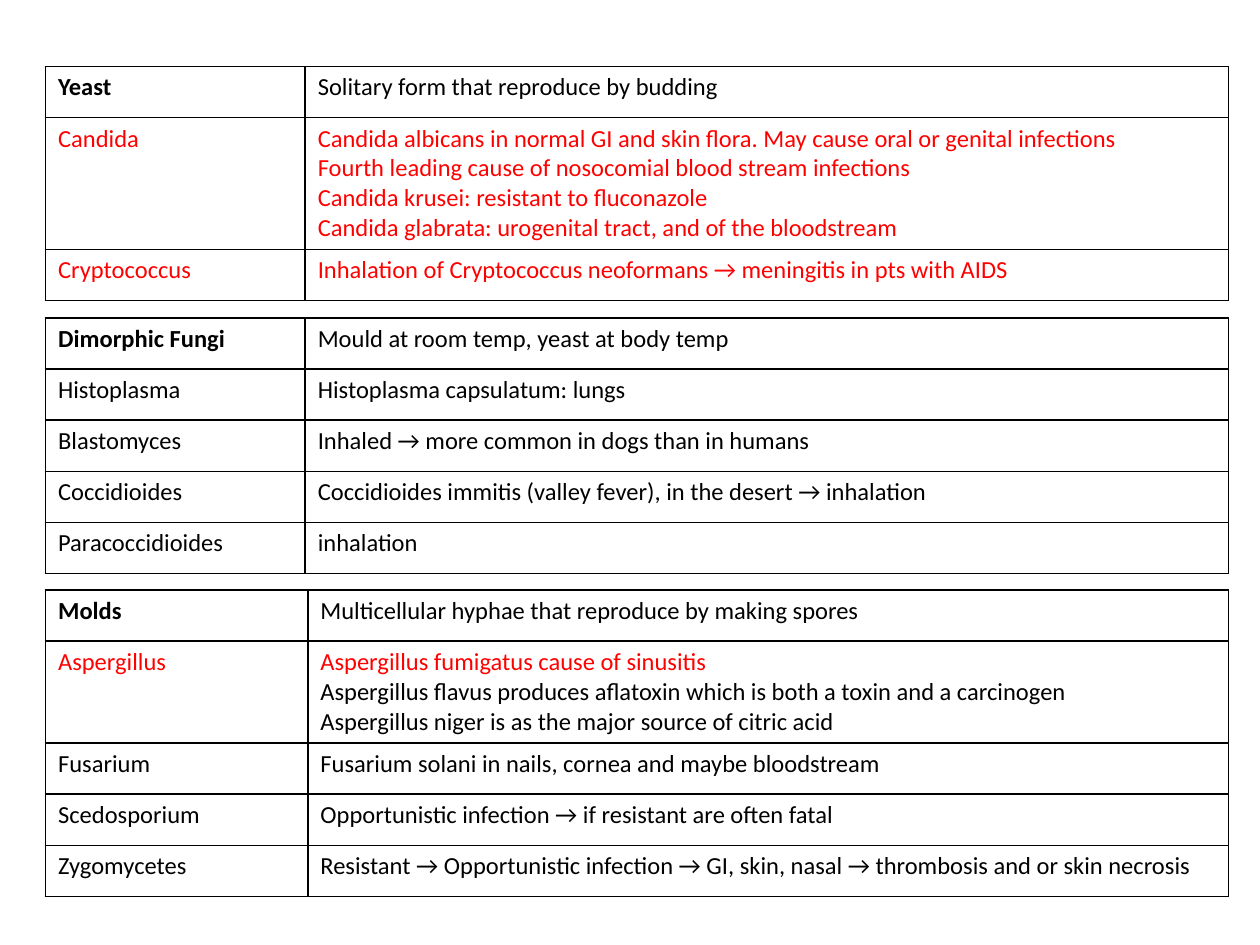
from lxml import etree
from pptx import Presentation
from pptx.dml.color import RGBColor
from pptx.oxml import ns
from pptx.util import Pt

BLACK = RGBColor(0, 0, 0)
RED = RGBColor(255, 0, 0)
FONT, SIZE = "Calibri", 14
LEFT, WIDTH, ROW = 26, 676, 29.2

# top, first column width, rows of (name, lines, count of red lines)
GROUPS = [
    (37.9, 148.4, [
        ("Yeast", ["Solitary form that reproduce by budding"], 0),
        ("Candida", [
            "Candida albicans in normal GI and skin flora. May cause oral or genital infections",
            "Fourth leading cause of nosocomial blood stream infections",
            "Candida krusei: resistant to fluconazole",
            "Candida glabrata: urogenital tract, and of the bloodstream"], 4),
        ("Cryptococcus", ["Inhalation of Cryptococcus neoformans → meningitis in pts with AIDS"], 1),
    ]),
    (181.7, 148.4, [
        ("Dimorphic Fungi", ["Mould at room temp, yeast at body temp"], 0),
        ("Histoplasma", ["Histoplasma capsulatum: lungs"], 0),
        ("Blastomyces", ["Inhaled → more common in dogs than in humans"], 0),
        ("Coccidioides", ["Coccidioides immitis (valley fever), in the desert → inhalation"], 0),
        ("Paracoccidioides", ["inhalation"], 0),
    ]),
    (337.1, 149.9, [
        ("Molds", ["Multicellular hyphae that reproduce by making spores"], 0),
        ("Aspergillus", [
            "Aspergillus fumigatus cause of sinusitis",
            "Aspergillus flavus produces aflatoxin which is both a toxin and a carcinogen",
            "Aspergillus niger is as the major source of citric acid"], 1),
        ("Fusarium", ["Fusarium solani in nails, cornea and maybe bloodstream"], 0),
        ("Scedosporium", ["Opportunistic infection → if resistant are often fatal"], 0),
        ("Zygomycetes", [
            "Resistant → Opportunistic infection → GI, skin, nasal → thrombosis and or skin necrosis"], 0),
    ]),
]


def border(cell):
    props = cell._tc.get_or_add_tcPr()
    for side in ("lnL", "lnR", "lnT", "lnB"):
        line = etree.SubElement(props, ns.qn("a:" + side), w=str(Pt(1)))
        fill = etree.SubElement(line, ns.qn("a:solidFill"))
        etree.SubElement(fill, ns.qn("a:srgbClr"), val=str(BLACK))


def write(cell, lines, reds, bold=False):
    border(cell)
    cell.fill.background()
    frame = cell.text_frame
    for i, line in enumerate(lines):
        para = frame.add_paragraph() if i else frame.paragraphs[0]
        run = para.add_run()
        run.text = line
        font = run.font
        font.name, font.size, font.bold = FONT, Pt(SIZE), bold
        font.color.rgb = RED if i < reds else BLACK


def draw(slide, top, first, rows):
    frame = slide.shapes.add_table(
        len(rows), 2, Pt(LEFT), Pt(top), Pt(WIDTH), Pt(ROW * len(rows)))
    table = frame.table
    table.first_row = table.horz_banding = False
    table.columns[0].width = Pt(first)
    table.columns[1].width = Pt(WIDTH - first)
    for i, (name, lines, reds) in enumerate(rows):
        table.rows[i].height = Pt(ROW)
        write(table.cell(i, 0), [name], reds, bold=i == 0)
        write(table.cell(i, 1), lines, reds)


def main():
    deck = Presentation()
    deck.slide_width, deck.slide_height = Pt(720), Pt(540)
    slide = deck.slides.add_slide(deck.slide_layouts[6])
    for group in GROUPS:
        draw(slide, *group)
    deck.save("out.pptx")


if __name__ == "__main__":
    main()
